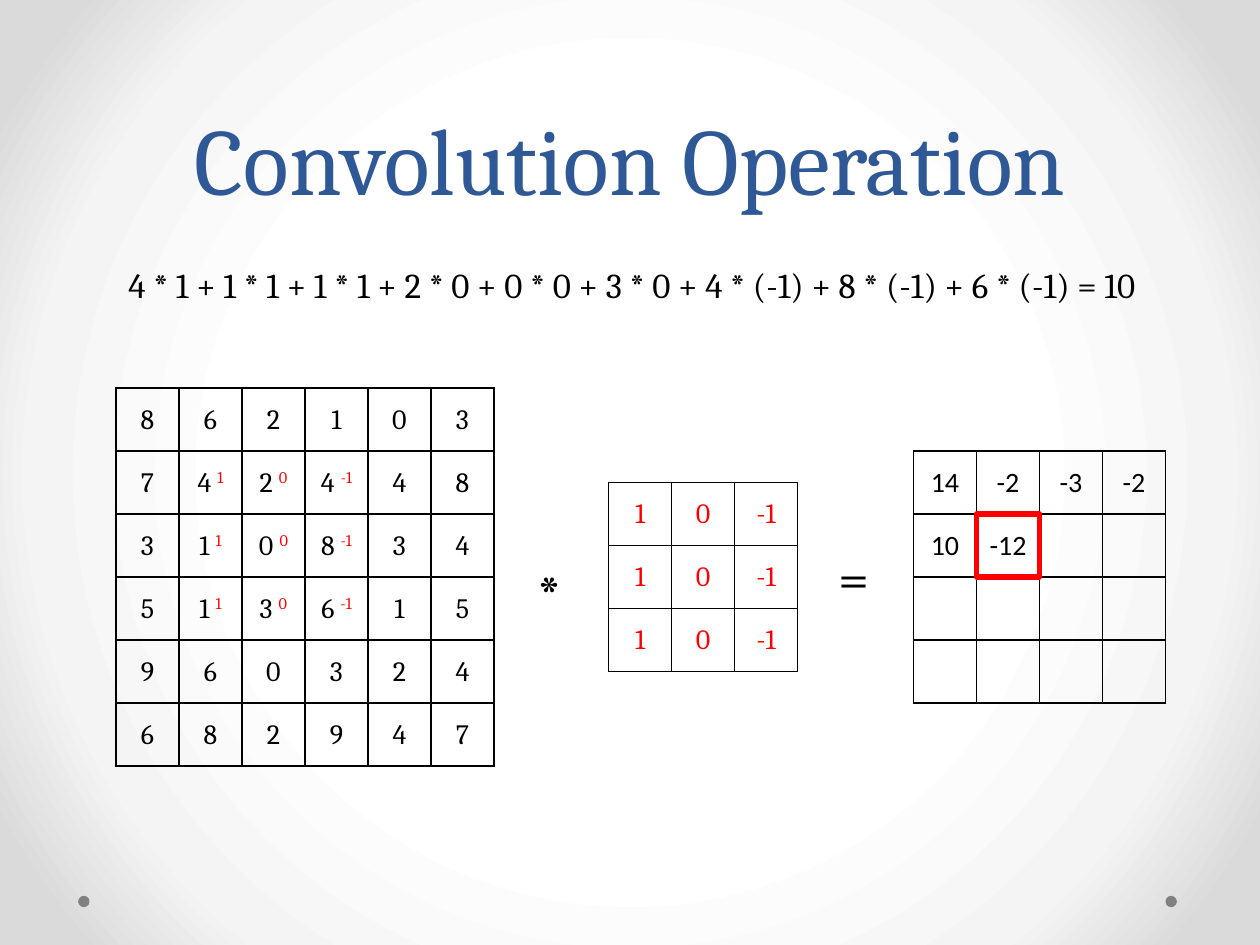
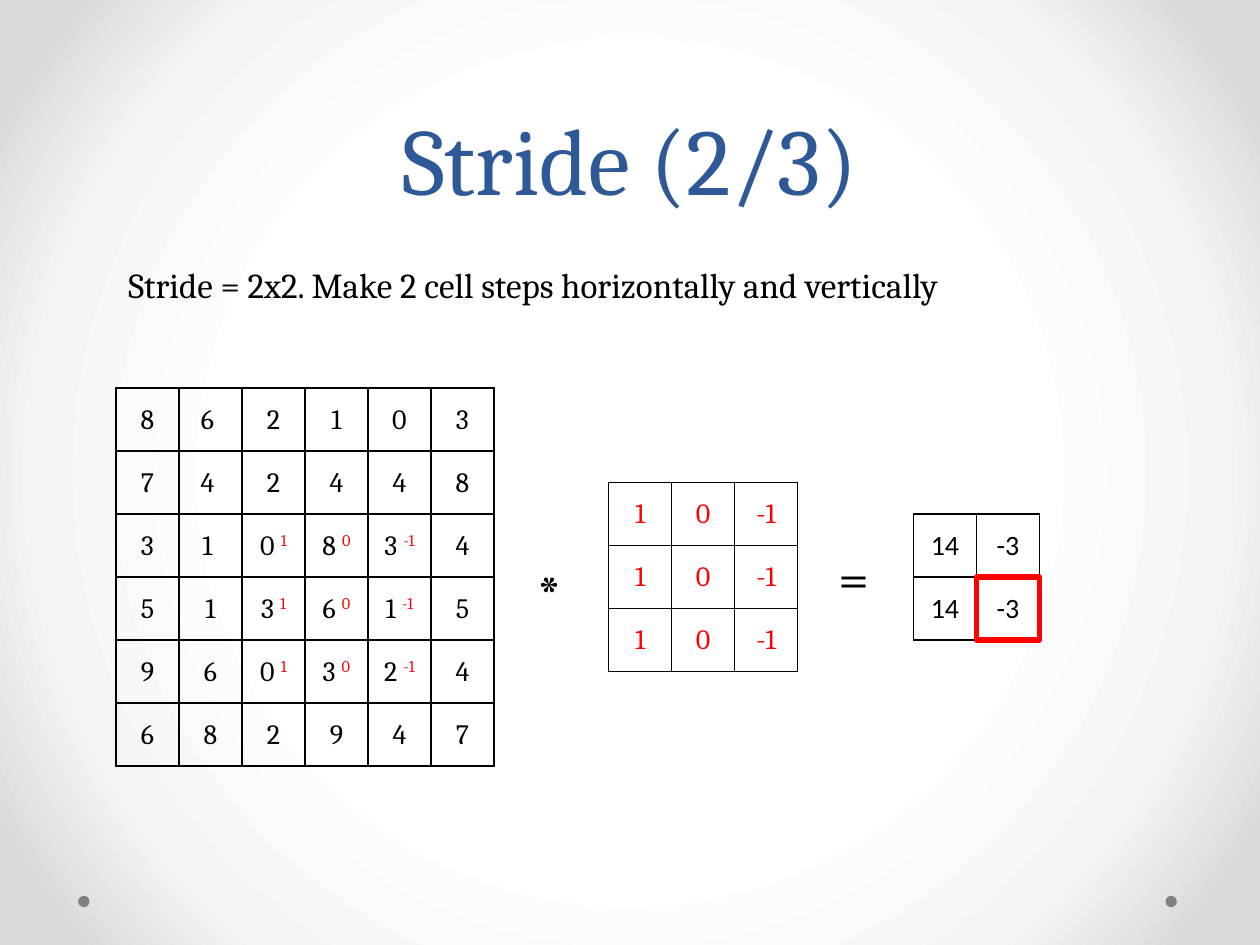
from pptx import Presentation
from pptx.dml.color import RGBColor
from pptx.enum.shapes import MSO_SHAPE as Preset
from pptx.enum.text import MSO_ANCHOR as Anchor, MSO_AUTO_SIZE as AutoSize, PP_ALIGN as Align
from pptx.oxml import parse_xml
from pptx.oxml.ns import nsdecls
from pptx.util import Inches, Pt

BLUE = RGBColor(0x2F, 0x58, 0x97)
BLACK = RGBColor(0, 0, 0)
RED = RGBColor(0xFF, 0, 0)
GREY = RGBColor(0x80, 0x80, 0x80)
SERIF, SANS = "Cambria", "Calibri"

# Layout in inches: square cells, three matrices centred on one line
CELL = 0.5
MIDDLE = 4.58
INPUT_LEFT, KERNEL_LEFT, RESULT_LEFT = 0.92, 4.83, 7.25
DOT_SIZE, DOT_TOP, DOT_LEFTS = 0.09, 7.11, (0.62, 9.25)

KERNEL = [["1", "0", "-1"]] * 3

# patch is the top-left (row, column) of the kernel over the input,
# active is the (row, column) of the framed result
SLIDES = [
    dict(title="Convolution Operation",
         caption="4 * 1 + 1 * 1 + 1 * 1 + 2 * 0 + 0 * 0 + 3 * 0 + 4 * (-1) + 8 * (-1) + 6 * (-1) = 10",
         input=["8,6,2,1,0,3", "7,4,2,4,4,8", "3,1,0,8,3,4",
                "5,1,3,6,1,5", "9,6,0,3,2,4", "6,8,2,9,4,7"],
         patch=(1, 1),
         result=["14,-2,-3,-2", "10,-12,,", ",,,", ",,,"],
         active=(1, 1)),
    dict(title="Stride (2/3)",
         caption="Stride = 2x2. Make 2 cell steps horizontally and vertically",
         input=["8,6 ,2,1,0,3", "7,4 ,2,4,4,8", "3,1 ,0,8,3,4",
                "5,1,3,6,1,5", "9,6,0,3,2,4", "6,8,2,9,4,7"],
         patch=(2, 2),
         result=["14,-3", "14,-3"],
         active=(1, 1)),
]


def add_text(slide, text, box, size, color=BLACK):
    shape = slide.shapes.add_textbox(*map(Inches, box))
    shape.text_frame.word_wrap = True
    run = shape.text_frame.paragraphs[0].add_run()
    run.text = text
    run.font.name, run.font.size, run.font.color.rgb = SERIF, Pt(size), color
    return shape.text_frame


def add_matrix(slide, values, left, font_name=SERIF, color=BLACK, patch=None):
    """Draw a bordered matrix; patch marks where kernel weights are superscripted."""
    rows, columns = len(values), len(values[0])
    top = MIDDLE - rows * CELL / 2
    table = slide.shapes.add_table(rows, columns, Inches(left), Inches(top),
                                   Inches(columns * CELL), Inches(rows * CELL)).table
    table.first_row = table.horz_banding = False
    for row, row_values in enumerate(values):
        table.rows[row].height = Inches(CELL)
        for column, value in enumerate(row_values):
            table.columns[column].width = Inches(CELL)
            cell = table.cell(row, column)
            cell.margin_left = cell.margin_right = cell.margin_top = Inches(0.01)
            cell.margin_bottom = 0
            cell.vertical_anchor = Anchor.MIDDLE
            properties = cell._tc.get_or_add_tcPr()
            for side in "LRTB":
                properties.append(parse_xml(
                    f'<a:ln{side} {nsdecls("a")} w="{Pt(1)}"><a:solidFill>'
                    f'<a:srgbClr val="{BLACK}"/></a:solidFill></a:ln{side}>'))
            cell.fill.background()

            # Value, followed by the kernel weight inside the patch
            pieces = [(value, color, False)] if value else []
            if patch:
                patch_row, patch_column = row - patch[0], column - patch[1]
                if 0 <= patch_row < len(KERNEL) and 0 <= patch_column < len(KERNEL[0]):
                    pieces = [(value + " ", color, False),
                              (KERNEL[patch_row][patch_column], RED, True)]
            paragraph = cell.text_frame.paragraphs[0]
            paragraph.alignment = Align.CENTER
            for text, run_color, raised in pieces:
                run = paragraph.add_run()
                run.text = text
                run.font.name, run.font.size = font_name, Pt(16)
                run.font.color.rgb = run_color
                if raised:
                    run.font._element.set("baseline", "30000")
    return top


presentation = Presentation()
presentation.slide_width, presentation.slide_height = Inches(10), Inches(7.5)
blank_layout = presentation.slide_layouts[6]

# Shared background: white centre fading to grey corners
background_fill = presentation.slide_master.background.fill
background_fill.gradient()
gradient = presentation.slide_master._element.find(".//{*}bgPr/{*}gradFill")
stops = "".join(f'<a:gs pos="{share}000"><a:srgbClr val="{color}"/></a:gs>'
                for share, color in ((50, "FFFFFF"), (76, "F4F4F4"), (92, "DADADA")))
gradient.getparent().replace(gradient, parse_xml(
    f'<a:gradFill {nsdecls("a")} rotWithShape="1"><a:gsLst>{stops}</a:gsLst>'
    '<a:path path="circle"><a:fillToRect l="50000" t="50000" r="50000" b="50000"/>'
    '</a:path></a:gradFill>'))

for content in SLIDES:
    slide = presentation.slides.add_slide(blank_layout)

    # Footer dots
    for dot_left in DOT_LEFTS:
        dot = slide.shapes.add_shape(Preset.OVAL, Inches(dot_left), Inches(DOT_TOP),
                                     Inches(DOT_SIZE), Inches(DOT_SIZE))
        dot.shadow.inherit = False
        dot.fill.solid()
        dot.fill.fore_color.rgb = GREY
        dot.line.fill.background()

    # Title
    title = add_text(slide, content["title"], (0.5, 0, 9, 1.75), 54, BLUE)
    title.vertical_anchor = Anchor.BOTTOM
    title.paragraphs[0].alignment = Align.CENTER
    title.paragraphs[0].line_spacing = Pt(58)

    # Input * kernel = result
    input_values = [line.split(",") for line in content["input"]]
    result_values = [line.split(",") for line in content["result"]]
    add_matrix(slide, input_values, INPUT_LEFT, patch=content["patch"])
    add_matrix(slide, KERNEL, KERNEL_LEFT, color=RED)
    result_top = add_matrix(slide, result_values, RESULT_LEFT, font_name=SANS)

    # Operators and caption
    for text, box, size in (("*", (4.17, 4.38, 0.42, 0.64), 32),
                            ("=", (6.56, 4.26, 0.42, 0.64), 32),
                            (content["caption"], (INPUT_LEFT, 2.04, 8.58, 0.44), 20)):
        add_text(slide, text, box, size).auto_size = AutoSize.SHAPE_TO_FIT_TEXT

    # Frame around the current result
    active_row, active_column = content["active"]
    frame = slide.shapes.add_shape(Preset.RECTANGLE,
                                   Inches(RESULT_LEFT + active_column * CELL),
                                   Inches(result_top + active_row * CELL),
                                   Inches(CELL), Inches(CELL))
    frame.shadow.inherit = False
    frame.fill.background()
    frame.line.color.rgb = RED
    frame.line.width = Pt(3)

presentation.save("out.pptx")
